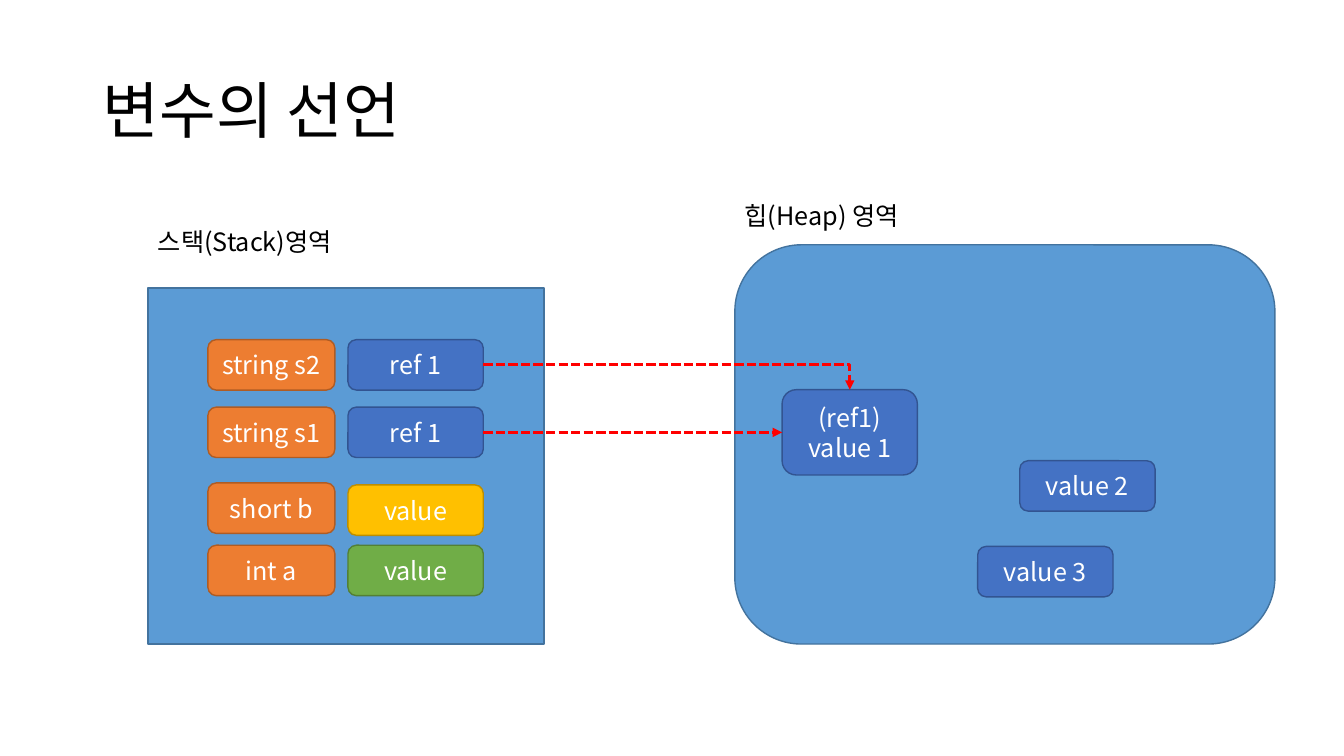
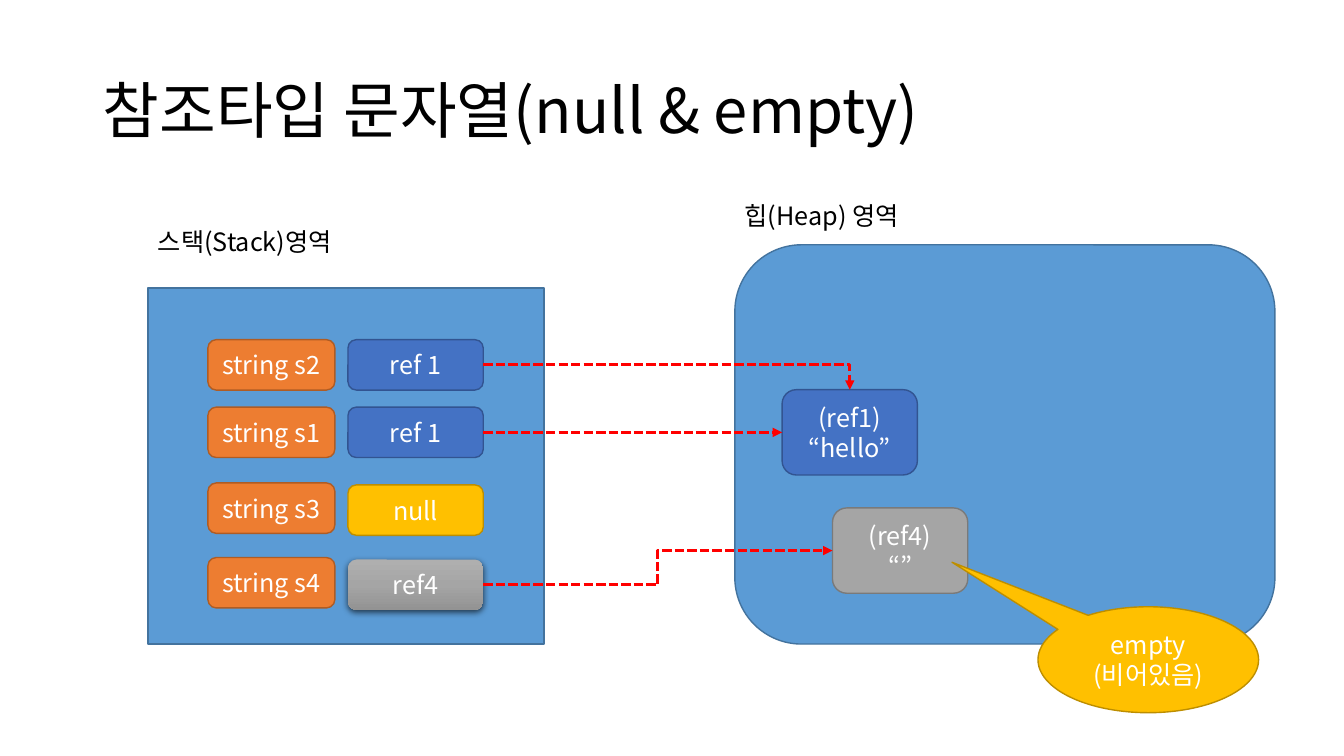
from copy import deepcopy

from lxml.etree import SubElement
from pptx import Presentation
from pptx.dml.color import RGBColor
from pptx.enum.dml import MSO_LINE
from pptx.enum.shapes import MSO_CONNECTOR, MSO_SHAPE
from pptx.enum.text import MSO_ANCHOR, MSO_AUTO_SIZE, PP_ALIGN
from pptx.oxml.ns import qn
from pptx.util import Cm, Pt

FONT = "Noto Sans CJK KR"
BLACK, WHITE, RED = "000000", "FFFFFF", "FF0000"
AREA = ("5B9BD5", "43739E")
ORANGE = ("ED7D31", "AF5C24")
BLUE = ("4472C4", "325491")
GREEN = ("70AD47", "538035")
YELLOW = ("FFC000", "BD8E00")
GREY = ("A5A5A5", "7A7A7A")
GREY_STOPS = ((0, "AFAFAF"), (0.5, "A5A5A5"), (1, "939393"))

NAME_X, NAME_W = 5.24, 3.2
VALUE_X, VALUE_W = 8.77, 3.41
BOX_H, OBJECT_H = 1.27, 2.15
TOP, LEFT, RIGHT = 0, 1, 3


def rgb(value):
    return RGBColor.from_string(value)


def write(tf, text, size, color, align):
    tf.text = text
    tf.word_wrap = True
    for p in tf.paragraphs:
        p.alignment = align
        p.font.size = Pt(size)
        p.font.color.rgb = rgb(color)
        p.font.name = FONT
        SubElement(p._p.pPr.find(qn("a:defRPr")), qn("a:ea"), typeface=FONT)


def add_title(s, text):
    sp = s.shapes.title
    sp.left, sp.top, sp.width, sp.height = Cm(2.34), Cm(1.02), Cm(29.21), Cm(3.68)
    tf = sp.text_frame
    write(tf, text, 44, BLACK, PP_ALIGN.LEFT)
    tf.auto_size = MSO_AUTO_SIZE.NONE
    tf.vertical_anchor = MSO_ANCHOR.MIDDLE
    tf.paragraphs[0].line_spacing = 0.9


def add_label(s, text, x, y, w):
    tf = s.shapes.add_textbox(Cm(x), Cm(y), Cm(w), Cm(1.02)).text_frame
    write(tf, text, 18, BLACK, PP_ALIGN.LEFT)
    tf.auto_size = MSO_AUTO_SIZE.SHAPE_TO_FIT_TEXT


def add_box(s, text, x, y, w, h, colors, kind=MSO_SHAPE.ROUNDED_RECTANGLE):
    sp = s.shapes.add_shape(kind, Cm(x), Cm(y), Cm(w), Cm(h))
    sp.shadow.inherit = False
    fill, line = colors
    sp.fill.solid()
    sp.fill.fore_color.rgb = rgb(fill)
    sp.line.color.rgb = rgb(line)
    sp.line.width = Pt(1)
    if text:
        write(sp.text_frame, text, 18, WHITE, PP_ALIGN.CENTER)
        sp.text_frame.vertical_anchor = MSO_ANCHOR.MIDDLE
    return sp


def add_variable(s, name, value, y, colors, value_shift=0):
    add_box(s, name, NAME_X, y, NAME_W, BOX_H, ORANGE)
    return add_box(s, value, VALUE_X, y + value_shift, VALUE_W, BOX_H, colors)


def add_object(s, text, x, y, colors=BLUE, h=OBJECT_H):
    return add_box(s, text, x, y, VALUE_W, h, colors)


def add_arrow(s, source, target, site):
    c = s.shapes.add_connector(MSO_CONNECTOR.ELBOW, 0, 0, 0, 0)
    c.begin_connect(source, RIGHT)
    c.end_connect(target, site)
    c.line.color.rgb = rgb(RED)
    c.line.width = Pt(2.25)
    c.line.dash_style = MSO_LINE.SQUARE_DOT
    spPr = c._element.spPr
    if site == TOP:
        spPr.find(qn("a:prstGeom")).set("prst", "bentConnector2")
    SubElement(spPr.find(qn("a:ln")), qn("a:tailEnd"), type="triangle")
    SubElement(spPr, qn("a:effectLst"))


def raise_box(sp):
    sp.line.fill.background()
    sp.fill.gradient()
    sp.fill.gradient_angle = 270
    spPr = sp._element.spPr
    stops = spPr.find(".//" + qn("a:gsLst"))
    stops.append(deepcopy(stops[0]))
    for stop, (position, color) in zip(sp.fill.gradient_stops, GREY_STOPS):
        stop.position = position
        stop.color.rgb = rgb(color)
    shadow = SubElement(spPr.find(qn("a:effectLst")), qn("a:outerShdw"),
                        blurRad=str(Pt(4.5)), dist=str(Pt(1.5)),
                        dir="5400000", algn="ctr", rotWithShape="0")
    color = SubElement(shadow, qn("a:srgbClr"), val=BLACK)
    SubElement(color, qn("a:alpha"), val="63000")


def add_memory_slide(prs, title, shared_value):
    s = prs.slides.add_slide(prs.slide_layouts[5])
    add_title(s, title)
    add_box(s, "", 18.52, 6.17, 13.61, 10.06, AREA)
    add_label(s, "스택(Stack)영역", 3.73, 5.59, 5.51)
    add_label(s, "힙(Heap) 영역", 18.52, 4.93, 6.99)
    add_box(s, "", 3.73, 7.26, 9.98, 8.97, AREA, MSO_SHAPE.RECTANGLE)
    s2 = add_variable(s, "string s2", "ref 1", 8.56, BLUE)
    s1 = add_variable(s, "string s1", "ref 1", 10.26, BLUE)
    shared = add_object(s, "(ref1)\n" + shared_value, 19.71, 9.82)
    add_arrow(s, s1, shared, LEFT)
    add_arrow(s, s2, shared, TOP)
    return s


def add_declaration_slide(prs):
    s = add_memory_slide(prs, "변수의 선언", "value 1")
    add_variable(s, "short b", "value", 12.17, YELLOW, 0.05)
    add_variable(s, "int a", "value", 13.74, GREEN)
    add_object(s, "value 3", 24.64, 13.77, h=BOX_H)
    add_object(s, "value 2", 25.7, 11.61, h=BOX_H)


def add_string_slide(prs):
    s = add_memory_slide(prs, "참조타입 문자열(null & empty)", "“hello”")
    add_variable(s, "string s3", "null", 12.17, YELLOW, 0.05)
    s4 = add_variable(s, "string s4", "ref4", 14.05, GREY, 0.05)
    raise_box(s4)
    empty = add_object(s, "(ref4)\n“”", 20.98, 12.8, GREY)
    add_arrow(s, s4, empty, LEFT)
    callout = add_box(s, "empty\n(비어있음)", 26.16, 15.29, 5.56, 2.67, YELLOW,
                      MSO_SHAPE.OVAL_CALLOUT)
    callout.adjustments[0] = -0.89
    callout.adjustments[1] = -0.92


def main():
    prs = Presentation()
    prs.slide_width, prs.slide_height = Cm(33.87), Cm(19.05)
    add_declaration_slide(prs)
    add_string_slide(prs)
    prs.save("out.pptx")


if __name__ == "__main__":
    main()
